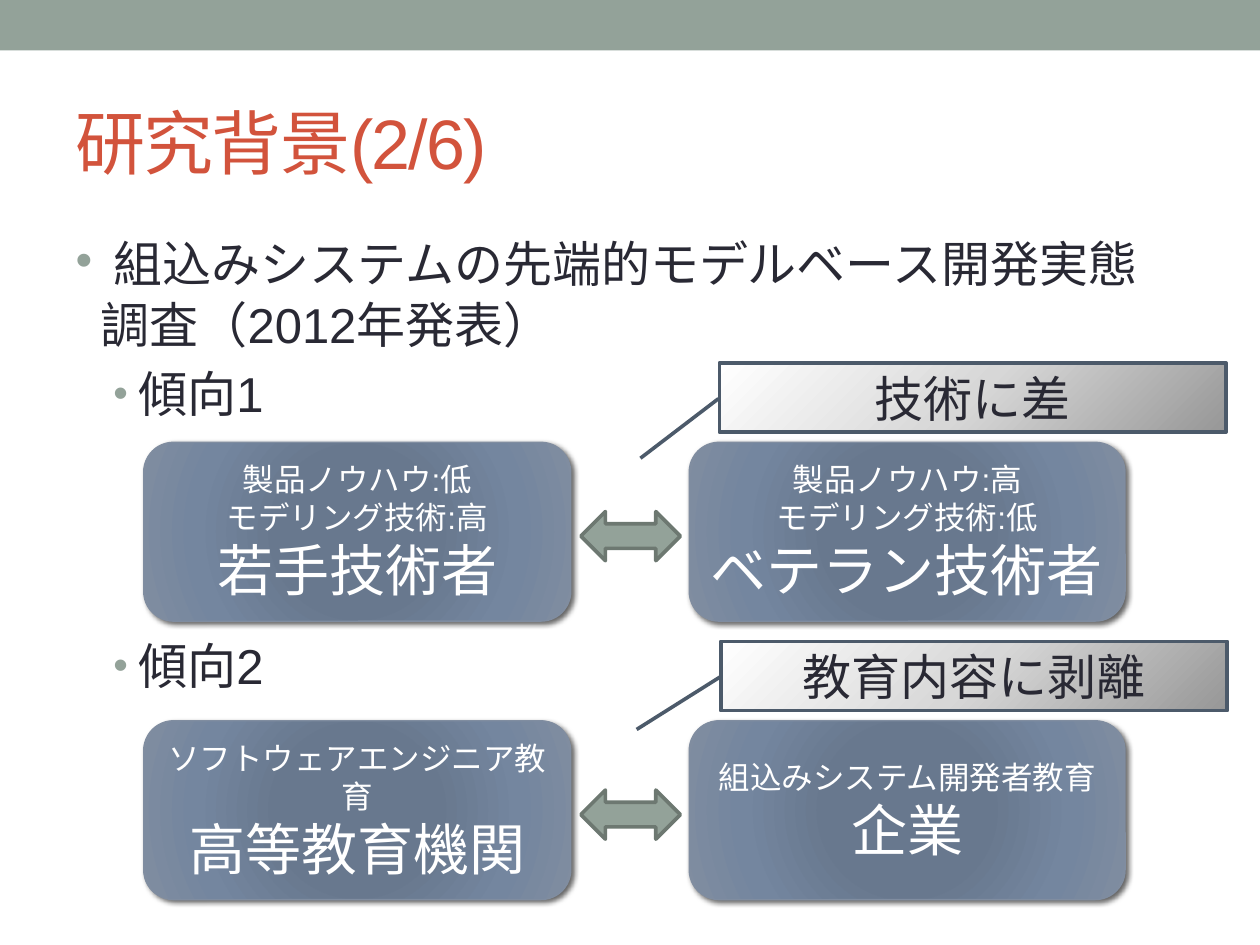
from lxml.etree import SubElement
from pptx import Presentation
from pptx.dml.color import RGBColor
from pptx.enum.shapes import MSO_SHAPE
from pptx.enum.text import MSO_ANCHOR, MSO_AUTO_SIZE, PP_ALIGN
from pptx.oxml.ns import qn
from pptx.util import Inches, Pt

COLORS = {"sage": "93A299", "arrow_line": "6D7871", "title": "D2533C", "ink": "292934",
          "white": "FFFFFF", "box_line": "808DA0", "callout_line": "4C5A6A", "shadow": "000000"}
BOX_STOPS = [(0, "677790"), (34, "68788E"), (70, "74869F"), (100, "808DA0")]
CALLOUT_STOPS = [(0, "979797"), (50, "D7D7D7"), (100, "FFFFFF")]
TITLE = "研究背景(2/6)"
BULLETS = [
    (0, 0.2, 6, [(" ", 32), ("組込みシステムの先端的モデルベース開発実態調査（2012年発表）", 28)]),
    (1, 0.5, 6, [("傾向1", 28)]),
    (1, 0.5, 122, [("傾向2", 28)]),
]
BOX_COLUMNS = [(1.14, 3.39), (5.47, 3.46)]
TRENDS = [
    {"top": 3.51,
     "boxes": [["製品ノウハウ:低", "モデリング技術:高", "若手技術者"],
               ["製品ノウハウ:高", "モデリング技術:低", "ベテラン技術者"]],
     "callout": ("技術に差", 5.71, 2.88, (0.517, -0.002, 1.376, -0.156))},
    {"top": 5.72,
     "boxes": [["ソフトウェアエンジニア教育", "高等教育機関"],
               ["組込みシステム開発者教育", "企業"]],
     "callout": ("教育内容に剥離", 5.72, 5.09, (0.517, -0.002, 1.272, -0.166))},
]


def color(name):
    return RGBColor.from_string(COLORS[name])


def style_span(span, size, name):
    span.font.name = "Arial"
    span.font.size = Pt(size)
    span.font.color.rgb = color(name)


def place(shape, left, top, width, height):
    shape.left, shape.top = Inches(left), Inches(top)
    shape.width, shape.height = Inches(width), Inches(height)


def add_shape(kind, left, top, width, height, fill=None, line=None, weight=2.08):
    shape = page.shapes.add_shape(kind, Inches(left), Inches(top), Inches(width), Inches(height))
    shape.shadow.inherit = False
    if fill:
        shape.fill.solid()
        shape.fill.fore_color.rgb = color(fill)
    if line:
        shape.line.color.rgb = color(line)
        shape.line.width = Pt(weight)
    else:
        shape.line.fill.background()
    return shape


def add_gradient(shape, stops, angle=None):
    properties = shape.element.spPr
    gradient = SubElement(properties, qn("a:gradFill"), rotWithShape="1")
    stop_list = SubElement(gradient, qn("a:gsLst"))
    for position, value in stops:
        stop = SubElement(stop_list, qn("a:gs"), pos=str(position * 1000))
        SubElement(stop, qn("a:srgbClr"), val=value)
    if angle is None:
        circle = SubElement(gradient, qn("a:path"), path="circle")
        SubElement(circle, qn("a:fillToRect"), {side: "100000" for side in "ltrb"})
    else:
        SubElement(gradient, qn("a:lin"), ang=str(angle * 60000), scaled="0")
    properties.find(qn("a:prstGeom")).addnext(gradient)


def add_shadow(shape):
    effects = shape.element.spPr.find(qn("a:effectLst"))
    shadow = SubElement(effects, qn("a:outerShdw"), blurRad=str(Pt(3)), dist=str(Pt(2)),
                        dir=str(45 * 60000), rotWithShape="0")
    tint = SubElement(shadow, qn("a:srgbClr"), val=COLORS["shadow"])
    SubElement(tint, qn("a:alpha"), val="60000")


def write_centred(shape, lines, sizes, name):
    frame = shape.text_frame
    frame.text = "\n".join(lines)
    frame.word_wrap = True
    frame.vertical_anchor = MSO_ANCHOR.MIDDLE
    for para, size in zip(frame.paragraphs, sizes):
        para.alignment = PP_ALIGN.CENTER
        style_span(para.runs[0], size, name)


def add_bullet(para, indent):
    properties = para._p.get_or_add_pPr()
    properties.set("marL", str(Inches(indent)))
    properties.set("indent", str(Inches(-0.2)))
    tint = SubElement(properties, qn("a:buClr"))
    SubElement(tint, qn("a:srgbClr"), val=COLORS["sage"])
    SubElement(properties, qn("a:buSzPct"), val="85000")
    SubElement(properties, qn("a:buFont"), typeface="Arial")
    SubElement(properties, qn("a:buChar"), char="•")


deck = Presentation()
deck.slide_width, deck.slide_height = Inches(10), Inches(7.5)
page = deck.slides.add_slide(deck.slide_layouts[1])
add_shape(MSO_SHAPE.RECTANGLE, 0, 0, 10, 0.4, "sage")

title = page.shapes.title
place(title, 0.5, 0.58, 9, 1.08)
title.text_frame.text = TITLE
title.text_frame.auto_size = MSO_AUTO_SIZE.NONE
title.text_frame.vertical_anchor = MSO_ANCHOR.MIDDLE
heading = title.text_frame.paragraphs[0]
heading.alignment = PP_ALIGN.LEFT
style_span(heading.runs[0], 40, "title")
heading.runs[0].font._element.set("spc", "-100")

body = page.placeholders[1]
place(body, 0.5, 1.75, 9, 5.33)
frame = body.text_frame
frame.auto_size = MSO_AUTO_SIZE.NONE
frame.vertical_anchor = MSO_ANCHOR.TOP
for index, (level, indent, gap, spans) in enumerate(BULLETS):
    para = frame.add_paragraph() if index else frame.paragraphs[0]
    para.level = level
    para.space_before = Pt(gap)
    add_bullet(para, indent)
    for text, size in spans:
        span = para.add_run()
        span.text = text
        style_span(span, size, "ink")

for trend in TRENDS:
    for (left, width), lines in zip(BOX_COLUMNS, trend["boxes"]):
        box = add_shape(MSO_SHAPE.ROUNDED_RECTANGLE, left, trend["top"], width, 1.42,
                        line="box_line", weight=0.75)
        add_gradient(box, BOX_STOPS)
        add_shadow(box)
        write_centred(box, lines, [18] * (len(lines) - 1) + [32], "white")
    add_shape(MSO_SHAPE.LEFT_RIGHT_ARROW, 4.61, trend["top"] + 0.55, 0.79, 0.39,
              "sage", "arrow_line")
    text, left, top, pointer = trend["callout"]
    callout = add_shape(MSO_SHAPE.LINE_CALLOUT_1, left, top, 4.02, 0.55, line="callout_line")
    for index, value in enumerate(pointer):
        callout.adjustments[index] = value
    add_gradient(callout, CALLOUT_STOPS, 225)
    write_centred(callout, [text], [28], "ink")

deck.save("out.pptx")
